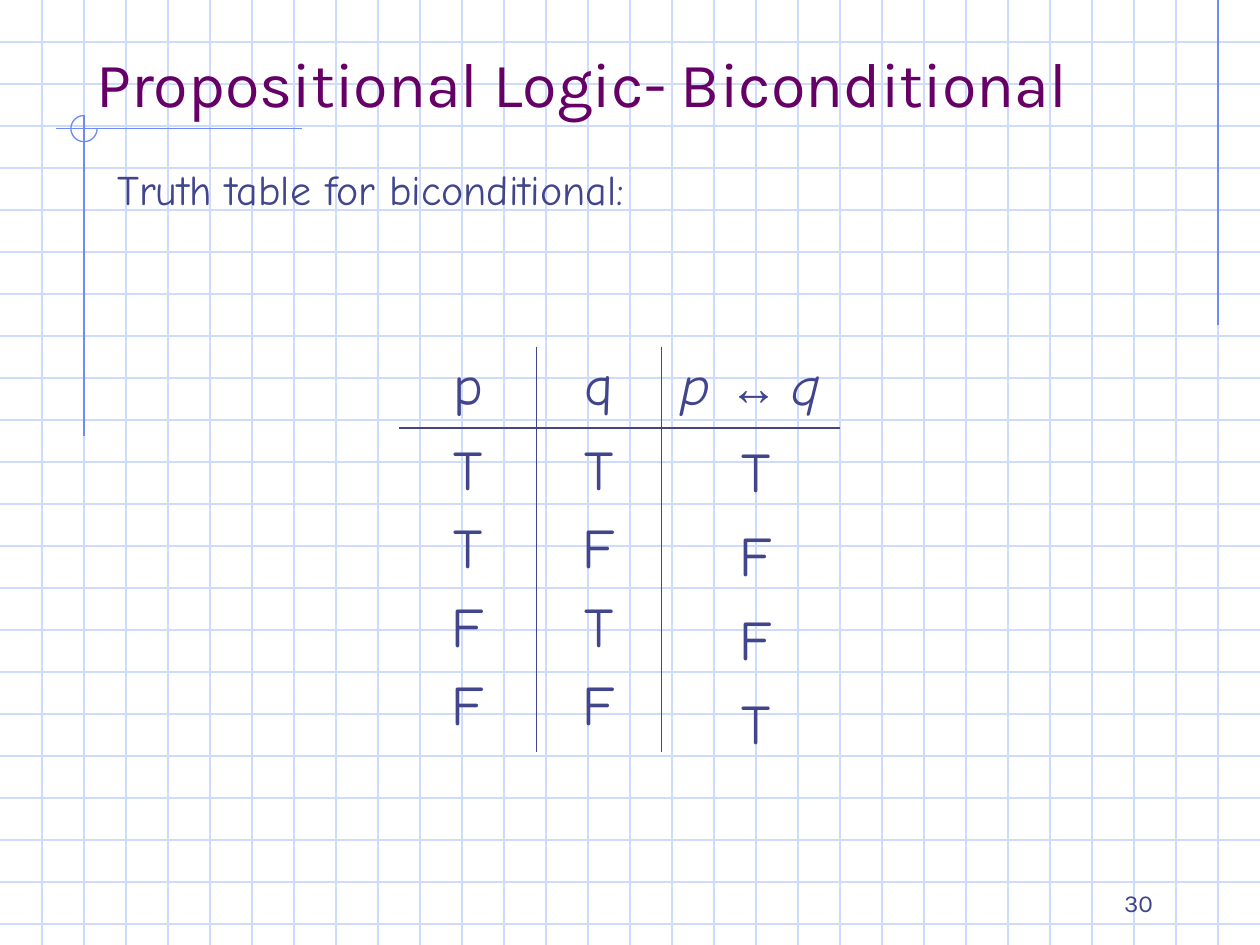
from lxml import etree
from pptx import Presentation, util as u
from pptx.dml.color import RGBColor
from pptx.enum import shapes, text
from pptx.oxml import ns

PX = 9525  # EMU in one px, 96 px to the inch
WIDTH, HEIGHT, GRID = 960, 720, 32
PALE, BLUE, INK, PURPLE = "CFDBFD", "6F89F7", "40458C", "660066"
BODY, HEADING = "Comic Neue", "Karla"


def px(*lengths):
    return [u.Emu(length * PX) for length in lengths]


def paint(color_format, color):
    color_format.rgb = RGBColor.from_string(color)


def add_line(slide, start, end, color):
    line = slide.shapes.add_connector(
        shapes.MSO_CONNECTOR.STRAIGHT, *px(*start, *end))
    paint(line.line.color, color)
    line.line.width = u.Pt(0.75)
    etree.SubElement(line._element.spPr, ns.qn("a:effectLst"))


def add_run(paragraph, words, size, font=BODY, color=INK, italic=False):
    run = paragraph.add_run()
    run.text = words
    run.font.size = u.Pt(size)
    run.font.name = font
    run.font.italic = italic
    paint(run.font.color, color)


def add_text(slide, box, words, size, font=BODY, color=INK,
             anchor=text.MSO_ANCHOR.TOP, align=text.PP_ALIGN.LEFT):
    frame = slide.shapes.add_textbox(*px(*box)).text_frame
    frame.word_wrap = True
    frame.vertical_anchor = anchor
    frame.paragraphs[0].alignment = align
    add_run(frame.paragraphs[0], words, size, font, color)


def add_values(frame, values, gap):
    """Stack truth values as centred paragraphs, gap points apart."""
    for index, value in enumerate(values):
        paragraph = frame.add_paragraph() if index else frame.paragraphs[0]
        paragraph.alignment = text.PP_ALIGN.CENTER
        if index:
            paragraph.space_before = u.Pt(gap)
        add_run(paragraph, value, 32)


def draw_grid(slide):
    for y in range(GRID, HEIGHT, GRID):
        add_line(slide, (0, y), (WIDTH, y), PALE)
    for x in range(GRID, WIDTH, GRID):
        add_line(slide, (x, 0), (x, HEIGHT), PALE)


def draw_ornament(slide, x, y):
    """Cross two lines at x, y, with three quarters of a ring around them."""
    radius = 10
    add_line(slide, (x + 166, y), (x - 21, y), BLUE)
    add_line(slide, (x, y - radius), (x, y + 234), BLUE)
    ring = slide.shapes.add_shape(
        shapes.MSO_SHAPE.ARC,
        *px(x - radius, y - radius, 2 * radius, 2 * radius))
    ring.adjustments[0] = 0
    ring.adjustments[1] = 162  # 270 degrees
    ring.shadow.inherit = False
    ring.fill.background()
    paint(ring.line.color, BLUE)
    ring.line.width = u.Pt(0.75)


def set_borders(cell, widths):
    """Draw the sides named in widths (points) and hide the others."""
    properties = cell._tc.get_or_add_tcPr()
    for side in "LRTB":
        line = etree.SubElement(properties, ns.qn("a:ln" + side))
        if side not in widths:
            etree.SubElement(line, ns.qn("a:noFill"))
            continue
        line.set("w", str(u.Pt(widths[side])))
        fill = etree.SubElement(line, ns.qn("a:solidFill"))
        etree.SubElement(fill, ns.qn("a:srgbClr"), val=INK)


def draw_truth_table(slide, left, top):
    columns, rows = (105, 95, 136), (62, 247)
    thin, thick = 0.45, 1.47
    table = slide.shapes.add_table(
        len(rows), len(columns),
        *px(left, top, sum(columns), sum(rows))).table
    table.first_row = table.horz_banding = False
    for column, width in zip(table.columns, px(*columns)):
        column.width = width
    for row, height in zip(table.rows, px(*rows)):
        row.height = height

    for y in range(len(rows)):
        for x in range(len(columns)):
            cell = table.cell(y, x)
            widths = {"T" if y else "B": thick}
            if x > 0:
                widths["L"] = thin
            if x < len(columns) - 1:
                widths["R"] = thin
            set_borders(cell, widths)
            cell.fill.background()
            cell.vertical_anchor = text.MSO_ANCHOR.MIDDLE

    for x, (name, values) in enumerate([("p", "TTFF"), ("q", "TFTF")]):
        add_values(table.cell(0, x).text_frame, name, 8)
        add_values(table.cell(1, x).text_frame, values, 8)

    formula = table.cell(0, 2).text_frame.paragraphs[0]
    formula.alignment = text.PP_ALIGN.CENTER
    add_run(formula, "p ", 32, italic=True)
    add_run(formula, "↔ ", 28, "Arial")
    add_run(formula, "q", 32, italic=True)

    results = slide.shapes.add_textbox(*px(left + 224, top + 64, 96, 324))
    results.text_frame.word_wrap = True
    add_values(results.text_frame, "TFFT", 9.6)


def main():
    presentation = Presentation()
    presentation.slide_width, presentation.slide_height = px(WIDTH, HEIGHT)
    slide = presentation.slides.add_slide(presentation.slide_layouts[6])

    draw_grid(slide)
    add_line(slide, (928, 0), (928, 248), BLUE)
    draw_ornament(slide, 64, 98)
    add_text(slide, (688, 680, 200, 24), "30", 14, HEADING,
             anchor=text.MSO_ANCHOR.BOTTOM, align=text.PP_ALIGN.RIGHT)
    add_text(slide, (64, 32, 816, 64), "Propositional Logic- Biconditional",
             36, HEADING, PURPLE, anchor=text.MSO_ANCHOR.BOTTOM)
    add_text(slide, (80, 120, 648, 48), "Truth table for biconditional:", 24)
    draw_truth_table(slide, 304, 264)

    presentation.save("out.pptx")


if __name__ == "__main__":
    main()
